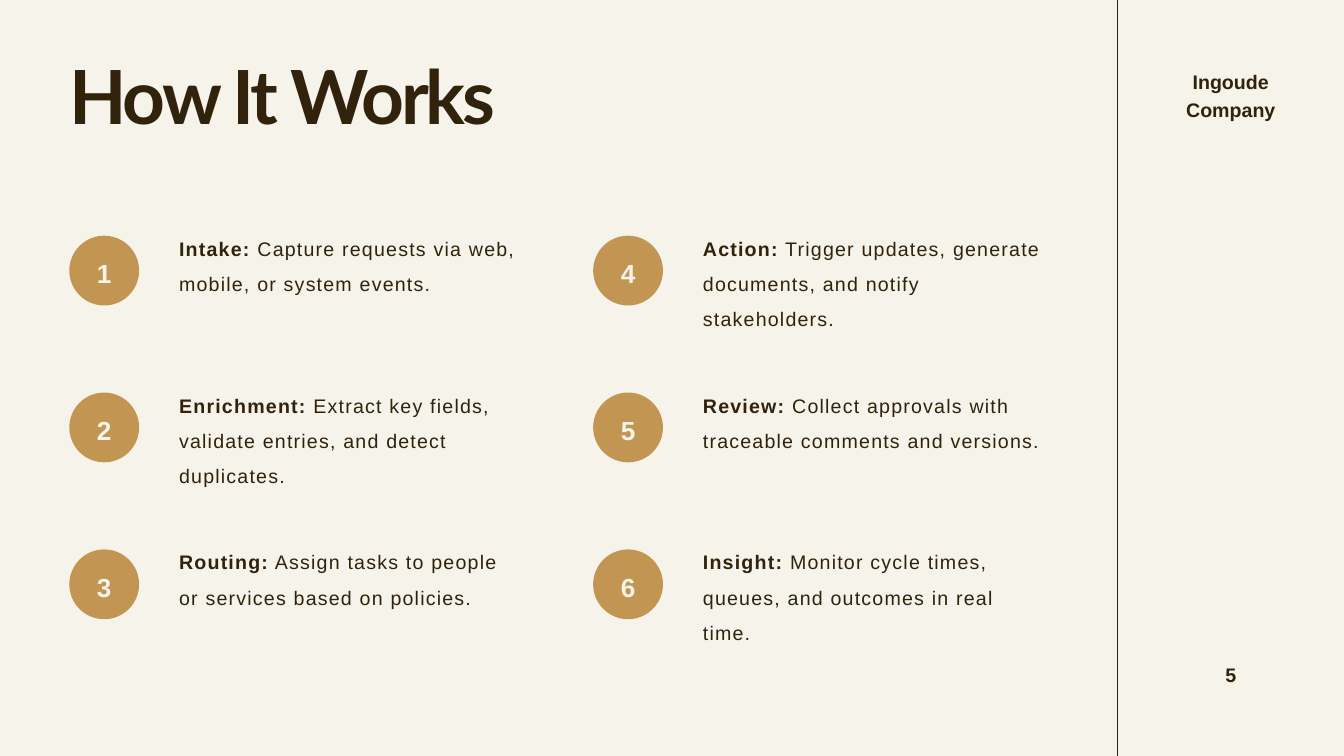
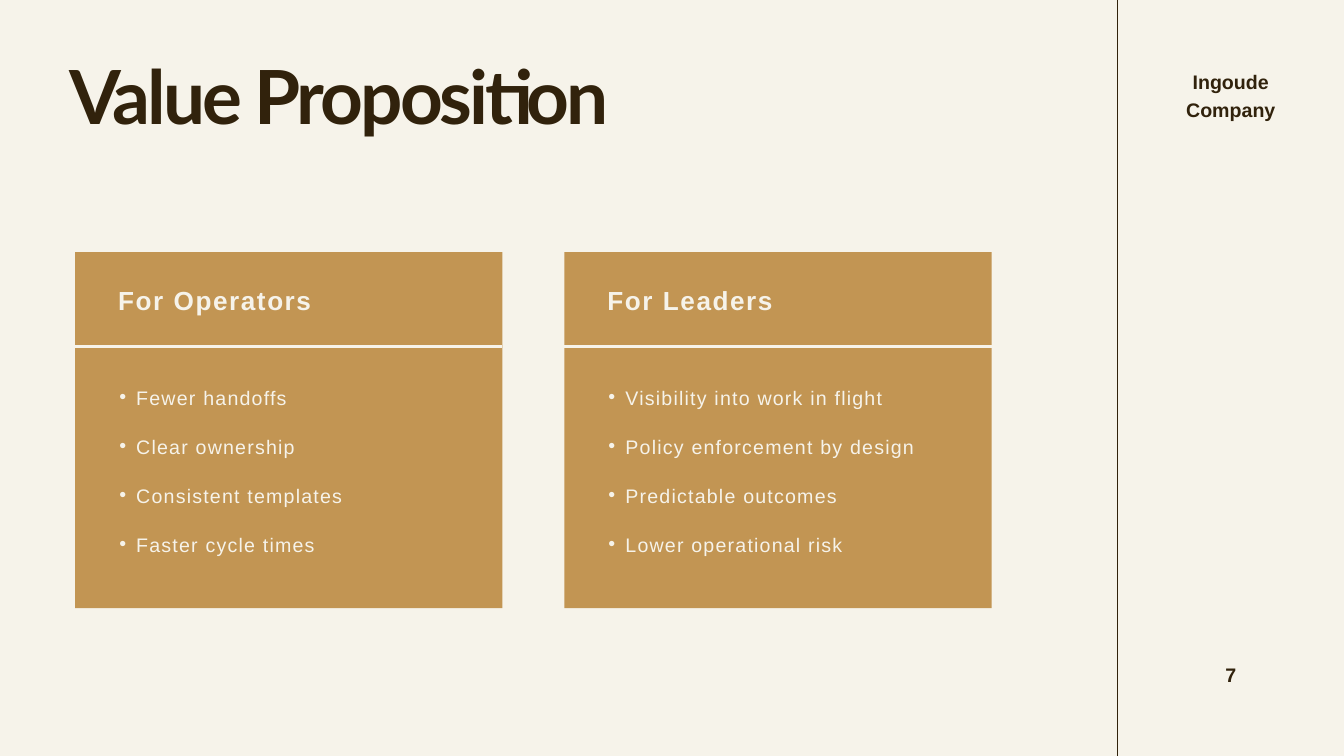
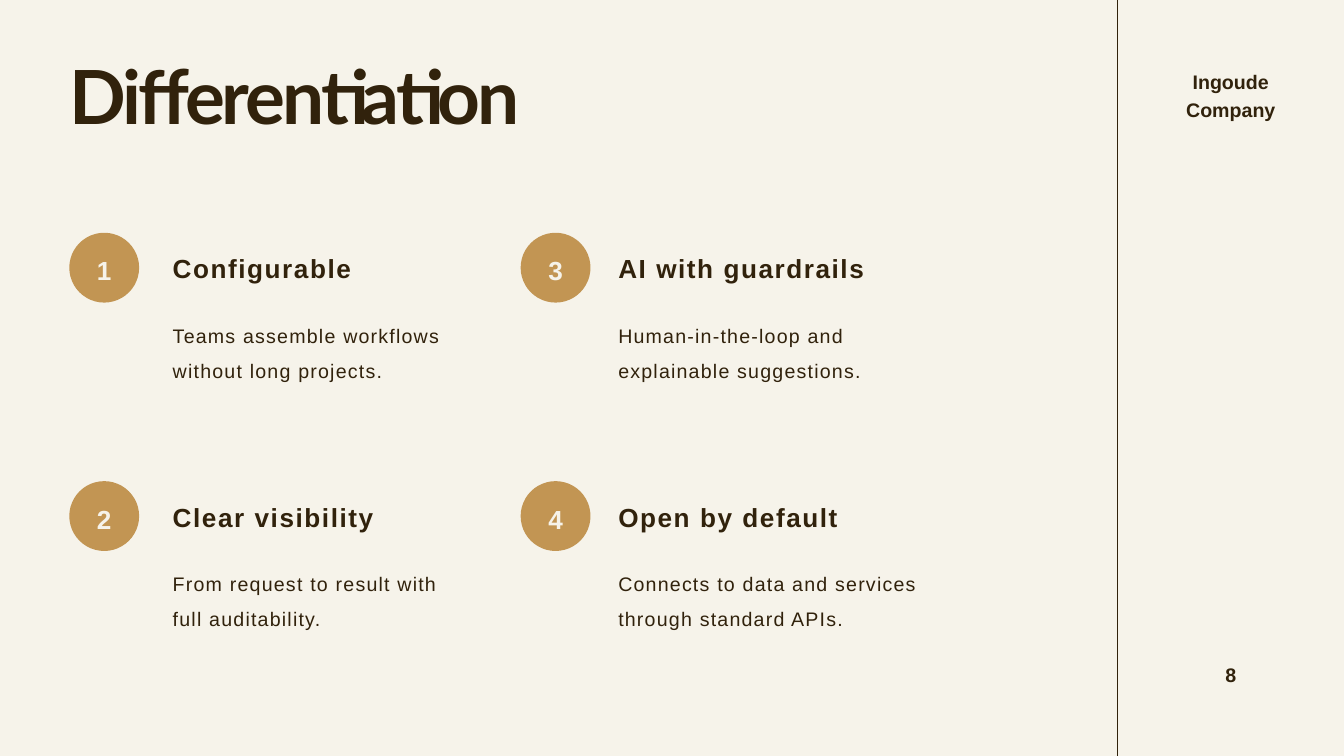
from pptx import Presentation
from pptx.dml.color import RGBColor as RGB
from pptx.enum.shapes import MSO_CONNECTOR as Connector, MSO_SHAPE as Shape
from pptx.enum.text import MSO_ANCHOR as Anchor, MSO_AUTO_SIZE as AutoSize, PP_ALIGN as Align
from pptx.oxml.ns import qn
from pptx.util import Cm, Pt
from lxml.etree import SubElement

COLOURS = {"paper": "F6F3EA", "ink": "31220C", "gold": "C29553"}

# font, size, line height, letter spacing in hundredths of a point, bold
STYLES = {
    "title": ("Lato", 80, 64, -320, True),
    "heading": ("Arial", 28, 39.2, 170, True),
    "body": ("Arial", 21, 37.8, 130, False),
    "bullet": ("Arial", 21, 52.5, 130, False),
    "company": ("Arial", 21, 29.4, 0, True),
    "number": ("Arial", 21, 29.4, 420, True),
}


def write_text(shape, text, style, colour="ink", align=Align.LEFT):
    """Fill a shape or text box with text in a named style."""
    font, size, leading, spacing, bold = STYLES[style]
    frame = shape.text_frame
    frame.word_wrap = True
    frame.margin_left = frame.margin_top = frame.margin_right = frame.margin_bottom = 0
    frame.text = text
    for para in frame.paragraphs:
        para.alignment = align
        para.line_spacing = Pt(leading)
        for span in para.runs:
            span.font.name = font
            span.font.size = Pt(size)
            span.font.bold = bold
            span.font.color.rgb = RGB.from_string(COLOURS[colour])
            span.font._element.set("spc", str(spacing))
    return frame


def add_badge(page, number, left, top):
    badge = page.shapes.add_shape(Shape.OVAL, Cm(left), Cm(top), Cm(2.64), Cm(2.64))
    badge.shadow.inherit = False
    badge.fill.solid()
    badge.fill.fore_color.rgb = RGB.from_string(COLOURS["gold"])
    badge.line.fill.background()
    frame = write_text(badge, str(number), "heading", "paper", Align.CENTER)
    frame.vertical_anchor = Anchor.MIDDLE


deck = Presentation()
deck.slide_width, deck.slide_height = Cm(50.8), Cm(28.58)
backdrop = deck.slide_master.background.fill
backdrop.solid()
backdrop.fore_color.rgb = RGB.from_string(COLOURS["paper"])

# Title, company name and page number on every page
pages = []
rules = []  # page, start x, start y, end x, end y, colour, weight
for title, number in [("How It Works", 5), ("Value Proposition", 7), ("Differentiation", 8)]:
    page = deck.slides.add_slide(deck.slide_layouts[6])
    pages.append(page)
    rules.append((page, 42.24, 0, 42.24, 28.58, "ink", 0.75))
    for left, top, width, height, text, style, align in [
        (2.62, 3, 24.77, 2.54, title, "title", Align.LEFT),
        (44.07, 24.92, 4.9, 1.02, str(number), "number", Align.CENTER),
        (44.07, 2.51, 4.9, 2.06, "Ingoude Company", "company", Align.CENTER),
    ]:
        box = page.shapes.add_textbox(Cm(left), Cm(top), Cm(width), Cm(height))
        write_text(box, text, style, align=align)
works_page, value_page, difference_page = pages

# How It Works: six steps, numbered down two columns
steps = [
    ("Intake:", " Capture requests via web, mobile, or system events."),
    ("Enrichment:", " Extract key fields, validate entries, and detect duplicates."),
    ("Routing:", " Assign tasks to people or services based on policies."),
    ("Action:", " Trigger updates, generate documents, and notify stakeholders."),
    ("Review:", " Collect approvals with traceable comments and versions."),
    ("Insight:", " Monitor cycle times, queues, and outcomes in real time."),
]
for index, (name, detail) in enumerate(steps):
    column, row = divmod(index, 3)
    left, top = 2.62 + 19.8 * column, 8.91 + 5.93 * row
    add_badge(works_page, index + 1, left, top)
    box = works_page.shapes.add_textbox(Cm(left + 4.15), Cm(top - 0.41), Cm(12.93), Cm(3.86))
    frame = write_text(box, name + detail, "body")
    para = frame.paragraphs[0]
    detail_span = para.runs[0]
    detail_span.text = detail
    name_span = para.add_run()
    name_span.text = name
    name_span.font.name = detail_span.font.name
    name_span.font.size = detail_span.font.size
    name_span.font.bold = True
    name_span.font.color.rgb = detail_span.font.color.rgb
    name_span.font._element.set("spc", detail_span.font._element.get("spc"))
    detail_span._r.addprevious(name_span._r)

# Value Proposition: one card per audience
cards = [
    ("For Operators", ["Fewer handoffs", "Clear ownership", "Consistent templates",
                       "Faster cycle times"]),
    ("For Leaders", ["Visibility into work in flight", "Policy enforcement by design",
                     "Predictable outcomes", "Lower operational risk"]),
]
card_width = 16.15
for index, (audience, benefits) in enumerate(cards):
    left = 2.84 + 18.49 * index
    card = value_page.shapes.add_shape(
        Shape.RECTANGLE, Cm(left), Cm(9.53), Cm(card_width), Cm(13.46))
    card.shadow.inherit = False
    card.fill.solid()
    card.fill.fore_color.rgb = RGB.from_string(COLOURS["gold"])
    card.line.fill.background()
    box = value_page.shapes.add_textbox(Cm(left + 1.63), Cm(10.54), Cm(12.4), Cm(1.37))
    write_text(box, audience, "heading", "paper")
    box = value_page.shapes.add_textbox(Cm(left + 1.04), Cm(13.61), Cm(13.13), Cm(7.19))
    frame = write_text(box, "\n".join(benefits), "bullet", "paper")
    for para in frame.paragraphs:
        para.level = 1
        props = para._p.get_or_add_pPr()
        props.set("marL", str(Cm(1.27)))
        props.set("indent", str(-Cm(0.64)))
        SubElement(props, qn("a:buFont"), typeface="Arial")
        SubElement(props, qn("a:buChar"), char="•")
    rules.append((value_page, left, 13.11, left + card_width, 13.11, "paper", 3))

# Differentiation: four strengths, numbered down two columns
strengths = [
    ("Configurable", "Teams assemble workflows without long projects."),
    ("Clear visibility", "From request to result with full auditability."),
    ("AI with guardrails", "Human‑in‑the‑loop and explainable suggestions."),
    ("Open by default", "Connects to data and services through standard APIs."),
]
columns = [(2.62, 6.53, 10.16), (19.68, 23.37, 12.8)]  # badge left, text left, text width
for index, (strength, detail) in enumerate(strengths):
    column, row = divmod(index, 2)
    badge_left, text_left, width = columns[column]
    top = 8.8 + 9.39 * row
    add_badge(difference_page, index + 1, badge_left, top)
    for text, style, drop, height in [(strength, "heading", 0.55, 1.37),
                                      (detail, "body", 2.99, 2.54)]:
        box = difference_page.shapes.add_textbox(
            Cm(text_left), Cm(top + drop), Cm(width), Cm(height))
        write_text(box, text, style)

for page, start_x, start_y, end_x, end_y, colour, weight in rules:
    rule = page.shapes.add_connector(
        Connector.STRAIGHT, Cm(start_x), Cm(start_y), Cm(end_x), Cm(end_y))
    rule.line.color.rgb = RGB.from_string(COLOURS[colour])
    rule.line.width = Pt(weight)
    SubElement(rule._element.spPr, qn("a:effectLst"))

for page in pages:
    for shape in page.shapes:
        if shape.has_text_frame and shape.text_frame.text and not shape.fill.type:
            shape.text_frame.auto_size = AutoSize.SHAPE_TO_FIT_TEXT

deck.save("out.pptx")
